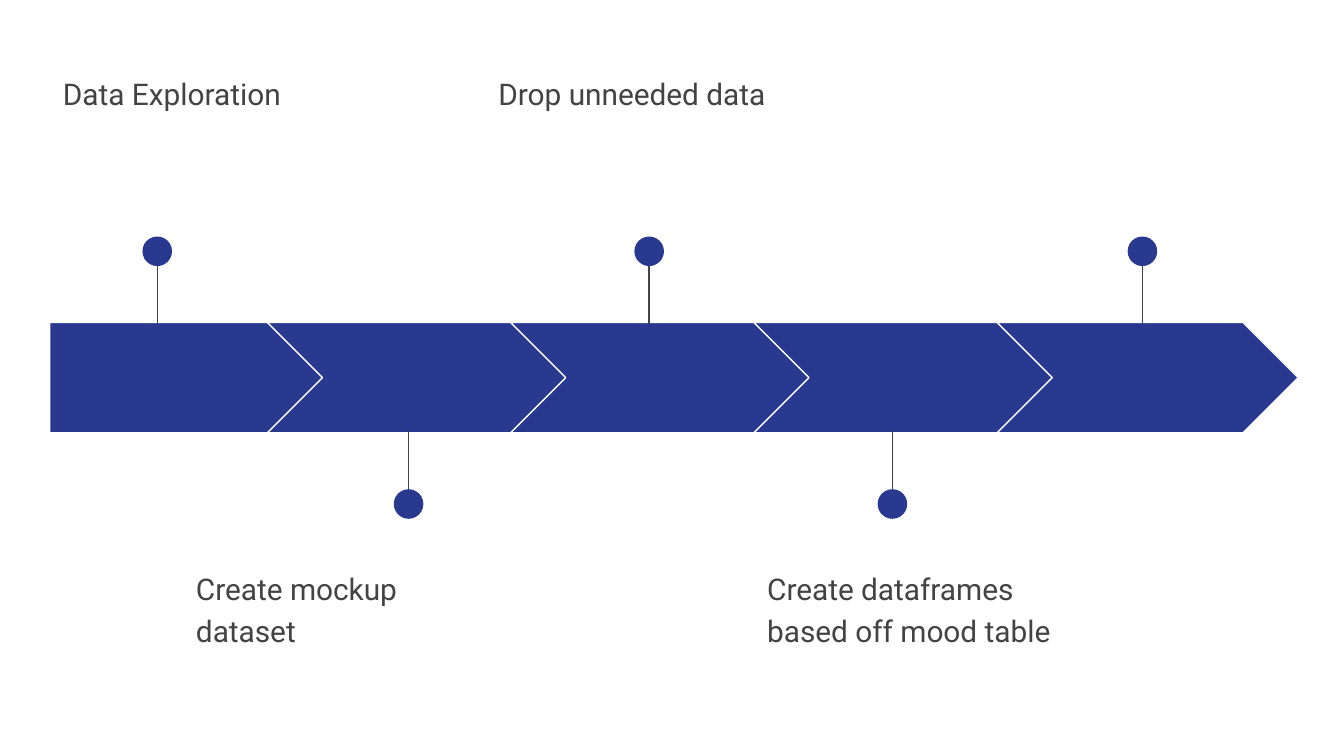
from lxml import etree
from pptx import Presentation
from pptx.dml.color import RGBColor
from pptx.enum.shapes import MSO_CONNECTOR, MSO_SHAPE
from pptx.enum.text import MSO_ANCHOR, PP_ALIGN
from pptx.oxml.ns import qn
from pptx.util import Inches, Pt

STRAIGHT = MSO_CONNECTOR.STRAIGHT
PENTAGON, CHEVRON, OVAL = MSO_SHAPE.PENTAGON, MSO_SHAPE.CHEVRON, MSO_SHAPE.OVAL
TOP, LEFT = MSO_ANCHOR.TOP, PP_ALIGN.LEFT
BLANK_LAYOUT = 6

# Pin centre, label and label's left edge; steps alternate above and below the band
STEPS = [
    (1.17, "Data Exploration", 0.37),
    (3.04, "Create mockup dataset", 1.36),
    (4.83, "Drop unneeded data", 3.61),
    (6.64, "Create dataframes based off mood table", 5.61),
    (8.5, None, None),
]

THEME = {
    "band": RGBColor.from_string("2A3990"),
    "edge": RGBColor.from_string("FFFFFF"),
    "ink": RGBColor.from_string("434343"),
    "font": "Roboto",
    "size": Pt(16),
    "line": Pt(0.75),
}

SLIDE_WIDTH = 10
SLIDE_HEIGHT = SLIDE_WIDTH * 9 / 16
BAND_LEFT, BAND_TOP, BAND_HEIGHT = 0.37, 2.4, 0.82
BAND_MIDDLE = BAND_TOP + BAND_HEIGHT / 2
FIRST_WIDTH, CHEVRON_WIDTH, STEP_PITCH = 2.05, 2.24, 1.81
PIN_NEAR, PIN_FAR, DOT_OFFSET = 0.4, 1.01, 0.94  # distances from the band's middle
DOT_SIZE = 0.22
LABEL_WIDTH, LABEL_HEIGHT = 2.45, 0.99
LABEL_TOP_ABOVE, LABEL_TOP_BELOW = 0.42, 4.11


def inches(*lengths):
    return [Inches(length) for length in lengths]


def add_filled(shapes, kind, left, top, width, height):
    shape = shapes.add_shape(kind, *inches(left, top, width, height))
    shape.shadow.inherit = False
    shape.fill.solid()
    shape.fill.fore_color.rgb = THEME["band"]
    shape.line.fill.background()
    return shape


def add_arrow(page, index):
    kind, width = (CHEVRON, CHEVRON_WIDTH) if index else (PENTAGON, FIRST_WIDTH)
    right = BAND_LEFT + FIRST_WIDTH + index * STEP_PITCH
    arrow = add_filled(page.shapes, kind, right - width, BAND_TOP, width, BAND_HEIGHT)
    arrow.adjustments[0] = 0.5
    arrow.line.color.rgb = THEME["edge"]
    arrow.line.width = THEME["line"]


def add_pin(page, center, side):
    """Group a stem and its dot; side is -1 above the band and 1 below it."""
    pin = page.shapes.add_group_shape()
    far, near = (BAND_MIDDLE + side * reach for reach in (PIN_FAR, PIN_NEAR))
    stem = pin.shapes.add_connector(STRAIGHT, *inches(center, far, center, near))
    stem.line.color.rgb = THEME["ink"]
    stem.line.width = THEME["line"]
    etree.SubElement(stem._element.spPr, qn("a:effectLst"))
    dot_top = BAND_MIDDLE + side * DOT_OFFSET - DOT_SIZE / 2
    add_filled(pin.shapes, OVAL, center - DOT_SIZE / 2, dot_top, DOT_SIZE, DOT_SIZE)


def add_label(page, text, left, side):
    top = LABEL_TOP_ABOVE if side < 0 else LABEL_TOP_BELOW
    box = page.shapes.add_textbox(*inches(left, top, LABEL_WIDTH, LABEL_HEIGHT))
    frame = box.text_frame
    frame.word_wrap = True
    frame.vertical_anchor = TOP
    for margin in ("margin_left", "margin_top", "margin_right", "margin_bottom"):
        setattr(frame, margin, Inches(0.1))
    para = frame.paragraphs[0]
    para_format = {"alignment": LEFT, "line_spacing": 1.15, "space_after": Pt(16)}
    for name, value in para_format.items():
        setattr(para, name, value)
    span = para.add_run()
    span.text = text
    span.font.name = THEME["font"]
    span.font.size = THEME["size"]
    span.font.color.rgb = THEME["ink"]


def main():
    deck = Presentation()
    deck.slide_width, deck.slide_height = inches(SLIDE_WIDTH, SLIDE_HEIGHT)
    page = deck.slides.add_slide(deck.slide_layouts[BLANK_LAYOUT])
    for index, (center, text, left) in enumerate(STEPS):
        side = 1 if index % 2 else -1
        add_arrow(page, index)
        add_pin(page, center, side)
        if text:
            add_label(page, text, left, side)
    deck.save("out.pptx")


if __name__ == "__main__":
    main()
